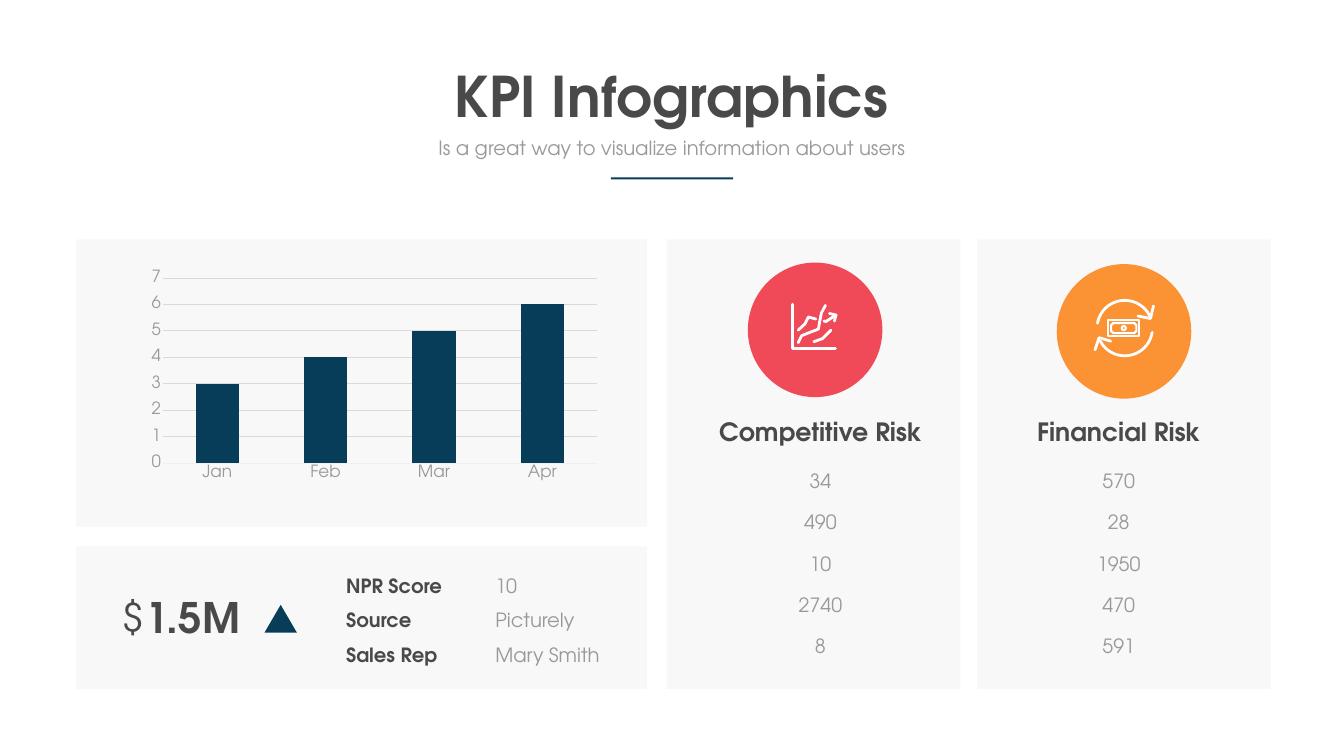
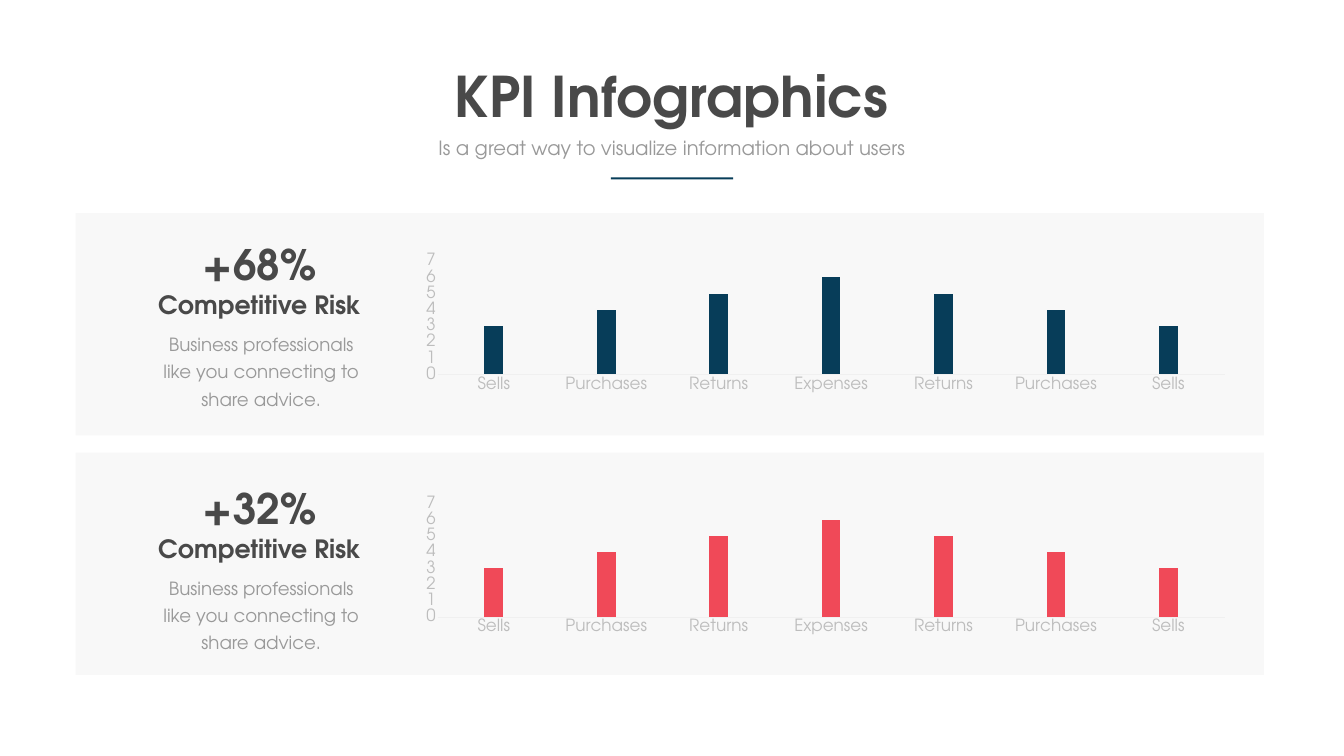
import math
from collections import namedtuple
from dataclasses import dataclass

import pptx
import pptx.chart.data
import pptx.dml.color
import pptx.enum.chart
import pptx.enum.shapes
import pptx.enum.text
import pptx.oxml
import pptx.oxml.ns
import pptx.util
from lxml import etree

Inches = pptx.util.Inches
Pt = pptx.util.Pt
MSO_SHAPE = pptx.enum.shapes.MSO_SHAPE
PP_ALIGN = pptx.enum.text.PP_ALIGN
qn = pptx.oxml.ns.qn

Box = namedtuple("Box", "left top width height")


@dataclass(frozen=True)
class Theme:
    font: str = "TeX Gyre Adventor"
    ink: str = "494949"
    gray: str = "999999"
    pale: str = "BDBDBD"
    navy: str = "073D59"
    red: str = "F04958"
    orange: str = "FB9234"
    white: str = "FFFFFF"
    panel: str = "F2F2F2"
    grid: str = "D9D9D9"
    baseline: str = "F0F0F0"
    title: float = 80
    figure: float = 60
    heading: float = 36
    body: float = 28
    note: float = 26
    axis: float = 24


THEME = Theme()
NO_STYLE_TABLE = "{2D5ABB26-0587-4C30-8999-92F81FD0307C}"


def rgb(color):
    return pptx.dml.color.RGBColor.from_string(color)


def inches(box):
    return [Inches(length) for length in box]


def within(box, left, top, width, height):
    return Box(box.left + left, box.top + top, width, height)


def style_font(font, size, color, bold=False):
    font.name = THEME.font
    font.size = Pt(size)
    font.bold = bold
    font.color.rgb = rgb(color)


def add_run(paragraph, text, size, color, bold=False):
    run = paragraph.add_run()
    run.text = text
    style_font(run.font, size, color, bold)


def add_text(slide, box, text, size, color, bold=False, align=PP_ALIGN.LEFT):
    frame = slide.shapes.add_textbox(*inches(box)).text_frame
    frame.word_wrap = True
    paragraph = frame.paragraphs[0]
    paragraph.alignment = align
    add_run(paragraph, text, size, color, bold)
    return paragraph


def add_filled(slide, kind, box, color):
    shape = slide.shapes.add_shape(kind, *inches(box))
    shape.shadow.inherit = False
    shape.fill.solid()
    shape.fill.fore_color.rgb = rgb(color)
    shape.line.fill.background()
    return shape


def add_panel(slide, box):
    panel = add_filled(slide, MSO_SHAPE.RECTANGLE, box, THEME.panel)
    color = panel.fill._xPr.find(qn("a:solidFill"))[0]
    etree.SubElement(color, qn("a:alpha"), val="50000")


def outline_white(shape, weight):
    shape.shadow.inherit = False
    shape.fill.background()
    shape.line.color.rgb = rgb(THEME.white)
    shape.line.width = Pt(weight)


def add_strokes(slide, box, strokes):
    for stroke in strokes:
        points = [(Inches(box.left + x), Inches(box.top + y)) for x, y in stroke]
        builder = slide.shapes.build_freeform(*points[0])
        builder.add_line_segments(points[1:], close=False)
        shape = builder.convert_to_shape()
        outline_white(shape, 4)
        line = shape.line._get_or_add_ln()
        line.set("cap", "rnd")
        etree.SubElement(line, qn("a:round"))


def arc(center_x, center_y, radius, start, end, steps=24):
    angles = [math.radians(start + (end - start) * i / steps) for i in range(steps + 1)]
    return [(center_x + radius * math.cos(a), center_y + radius * math.sin(a)) for a in angles]


def add_trend_icon(slide, box):
    add_filled(slide, MSO_SHAPE.OVAL, box, THEME.red)
    add_strokes(slide, box, [
        [(0.88, 0.83), (0.88, 1.7), (1.74, 1.7)],
        [(1, 1.59), (1.07, 1.45), (1.27, 1.37), (1.4, 1.32), (1.43, 1.15), (1.46, 1), (1.54, 0.85)],
        [(1, 1.34), (1.13, 1.22), (1.2, 1.08), (1.35, 1.12)],
        [(1.31, 1.57), (1.48, 1.51), (1.65, 1.34)],
        [(1.51, 1.16), (1.55, 1.17), (1.75, 1.04)],
        [(1.62, 1.01), (1.75, 1.04), (1.72, 1.16)],
    ])


def add_cash_cycle_icon(slide, box):
    add_filled(slide, MSO_SHAPE.OVAL, box, THEME.orange)
    add_strokes(slide, box, [
        arc(1.35, 1.27, 0.55, 190, 338),
        [(1.61, 1.03), (1.86, 1.08), (1.92, 0.83)],
        arc(1.35, 1.27, 0.55, 9, 152),
        [(1.07, 1.53), (0.84, 1.46), (0.76, 1.7)],
    ])
    banknote = [
        (MSO_SHAPE.RECTANGLE, (1.02, 1.11, 0.62, 0.31)),
        (MSO_SHAPE.PLAQUE, (1.08, 1.17, 0.5, 0.2)),
        (MSO_SHAPE.OVAL, (1.29, 1.23, 0.08, 0.08)),
    ]
    for kind, place in banknote:
        outline_white(slide.shapes.add_shape(kind, *inches(within(box, *place))), 3)


def add_header(slide, box):
    title = slide.shapes.title
    title.left, title.top, title.width, title.height = inches(within(box, 0.32, 0, 8.91, 1.45))
    frame = title.text_frame
    frame.word_wrap = False
    frame.auto_size = pptx.enum.text.MSO_AUTO_SIZE.NONE
    frame.vertical_anchor = pptx.enum.text.MSO_ANCHOR.TOP
    paragraph = frame.paragraphs[0]
    paragraph.alignment = PP_ALIGN.CENTER
    add_run(paragraph, "KPI Infographics", THEME.title, THEME.ink, True)
    add_text(slide, within(box, 0, 1.48, box.width, 0.57),
             "Is a great way to visualize information about users",
             THEME.body, THEME.gray, align=PP_ALIGN.CENTER)
    add_filled(slide, MSO_SHAPE.RECTANGLE, within(box, 3.57, 2.35, 2.43, 0.04), THEME.navy)


def add_columns(slide, box, categories, values, color, label_color, gap):
    data = pptx.chart.data.CategoryChartData()
    data.categories = categories
    data.add_series("Series 1", values)
    chart = slide.shapes.add_chart(
        pptx.enum.chart.XL_CHART_TYPE.COLUMN_STACKED, *inches(box), data).chart
    chart.has_legend = False
    chart.has_title = False
    style_font(chart.font, THEME.axis, THEME.gray)
    plot = chart.plots[0]
    plot.vary_by_categories = False
    plot.gap_width = gap
    plot.overlap = 100
    fill = plot.series[0].format.fill
    fill.solid()
    fill.fore_color.rgb = rgb(color)
    for axis in (chart.category_axis, chart.value_axis):
        axis.major_tick_mark = axis.minor_tick_mark = pptx.enum.chart.XL_TICK_MARK.NONE
        axis.has_major_gridlines = False
        style_font(axis.tick_labels.font, THEME.axis, label_color)
    chart.category_axis.format.line.color.rgb = rgb(THEME.baseline)
    chart.category_axis.format.line.width = Pt(0.75)
    chart.value_axis.format.line.fill.background()
    chart.value_axis.minimum_scale = 0
    chart.value_axis.maximum_scale = 7
    chart.value_axis.major_unit = 1
    return chart


def set_plot_area(chart, place):
    plot_area = chart._chartSpace.chart.plotArea
    for old in plot_area.findall(qn("c:layout")):
        plot_area.remove(old)
    layout = etree.Element(qn("c:layout"))
    manual = etree.SubElement(layout, qn("c:manualLayout"))
    settings = [("layoutTarget", "inner"), ("xMode", "edge"), ("yMode", "edge")]
    settings += zip("xywh", map(str, place))
    for tag, value in settings:
        etree.SubElement(manual, qn("c:" + tag), val=value)
    plot_area.insert(0, layout)


def add_monthly_chart(slide, box):
    add_panel(slide, box)
    chart = add_columns(slide, within(box, 0.96, 0.59, 9.56, 4.32),
                        ["Jan", "Feb", "Mar", "Apr"], [3, 4, 5, 6],
                        THEME.navy, THEME.gray, 150)
    chart.value_axis.has_major_gridlines = True
    gridline = chart.value_axis.major_gridlines.format.line
    gridline.color.rgb = rgb(THEME.grid)
    gridline.width = Pt(0.75)
    set_plot_area(chart, (0.08, 0.04, 0.9, 0.85))


def add_revenue(slide, box):
    add_panel(slide, box)
    amount = add_text(slide, within(box, 0.81, 0.85, 3.83, 1.11), "$", THEME.figure, THEME.ink)
    add_run(amount, "1.5M", THEME.figure, THEME.ink, True)
    add_filled(slide, MSO_SHAPE.ISOSCELES_TRIANGLE, within(box, 3.74, 1.16, 0.64, 0.55), THEME.navy)
    details = [("NPR Score", "10"), ("Source", "Picturely"), ("Sales Rep", "Mary Smith")]
    for row, (label, value) in enumerate(details):
        top = 0.49 + 0.69 * row
        add_text(slide, within(box, 5.26, top, 3.06, 0.57), label, THEME.body, THEME.ink, True)
        add_text(slide, within(box, 8.22, top, 2.35, 0.57), value, THEME.body, THEME.gray)


def add_risks(slide, box):
    for left in (0, 6.16):
        add_panel(slide, within(box, left, 0, 5.83, box.height))
    rows = [("Competitive Risk", "Financial Risk"), ("34", "570"), ("490", "28"),
            ("10", "1950"), ("2740", "470"), ("8", "591")]
    place = within(box, 0.09, 3.32, 11.84, 5.21)
    table = slide.shapes.add_table(len(rows), 2, *inches(place)).table
    table.first_row = table.horz_banding = False
    table._tbl.tblPr.find(qn("a:tableStyleId")).text = NO_STYLE_TABLE
    for r, row in enumerate(rows):
        heading = r == 0
        table.rows[r].height = Inches(1.11 if heading else 0.82)
        for c, text in enumerate(row):
            cell = table.cell(r, c)
            cell.fill.background()
            cell.vertical_anchor = pptx.enum.text.MSO_ANCHOR.MIDDLE
            if heading:
                cell.margin_left = cell.margin_right = Inches(0.14)
                cell.margin_top = cell.margin_bottom = Inches(0.07)
            paragraph = cell.text_frame.paragraphs[0]
            paragraph.alignment = PP_ALIGN.CENTER
            add_run(paragraph, text, THEME.heading if heading else THEME.body,
                    THEME.ink if heading else THEME.gray, heading)
    add_trend_icon(slide, within(box, 1.61, 0.46, 2.67, 2.67))
    add_cash_cycle_icon(slide, within(box, 7.74, 0.49, 2.67, 2.67))


def add_change_band(slide, box, change, color, text_top, chart_top):
    add_panel(slide, box)
    add_text(slide, within(box, 1.15, text_top, 5, 1.11), change,
             THEME.figure, THEME.ink, True, PP_ALIGN.CENTER)
    add_text(slide, within(box, 1.15, text_top + 1.01, 5, 0.71), "Competitive Risk",
             THEME.heading, THEME.ink, True, PP_ALIGN.CENTER)
    note = add_text(slide, within(box, 1.52, text_top + 1.78, 4.33, 1.69),
                    "Business professionals like you connecting to share advice.",
                    THEME.note, THEME.gray, align=PP_ALIGN.CENTER)
    note.line_spacing = Pt(38.6)
    add_columns(slide, within(box, 6.63, chart_top, 16.5, 2.87),
                ["Sells", "Purchases", "Returns", "Expenses", "Returns", "Purchases", "Sells"],
                [3, 4, 5, 6, 5, 4, 3], color, THEME.pale, 500)


def add_kpi_slide(deck):
    slide = deck.slides.add_slide(deck.slide_layouts[5])
    add_header(slide, Box(8.55, 1.17, 9.56, 2.39))
    return slide


def main():
    deck = pptx.Presentation()
    deck.slide_width, deck.slide_height = Inches(26.67), Inches(15)

    overview = add_kpi_slide(deck)
    add_monthly_chart(overview, Box(1.51, 4.75, 11.33, 5.7))
    add_revenue(overview, Box(1.51, 10.84, 11.33, 2.83))
    add_risks(overview, Box(13.23, 4.75, 11.99, 8.92))

    changes = add_kpi_slide(deck)
    add_change_band(changes, Box(1.5, 4.23, 23.58, 4.41), "+68%", THEME.navy, 0.46, 0.74)
    add_change_band(changes, Box(1.5, 8.98, 23.58, 4.41), "+32%", THEME.red, 0.55, 0.8)

    deck.save("out.pptx")


if __name__ == "__main__":
    main()
